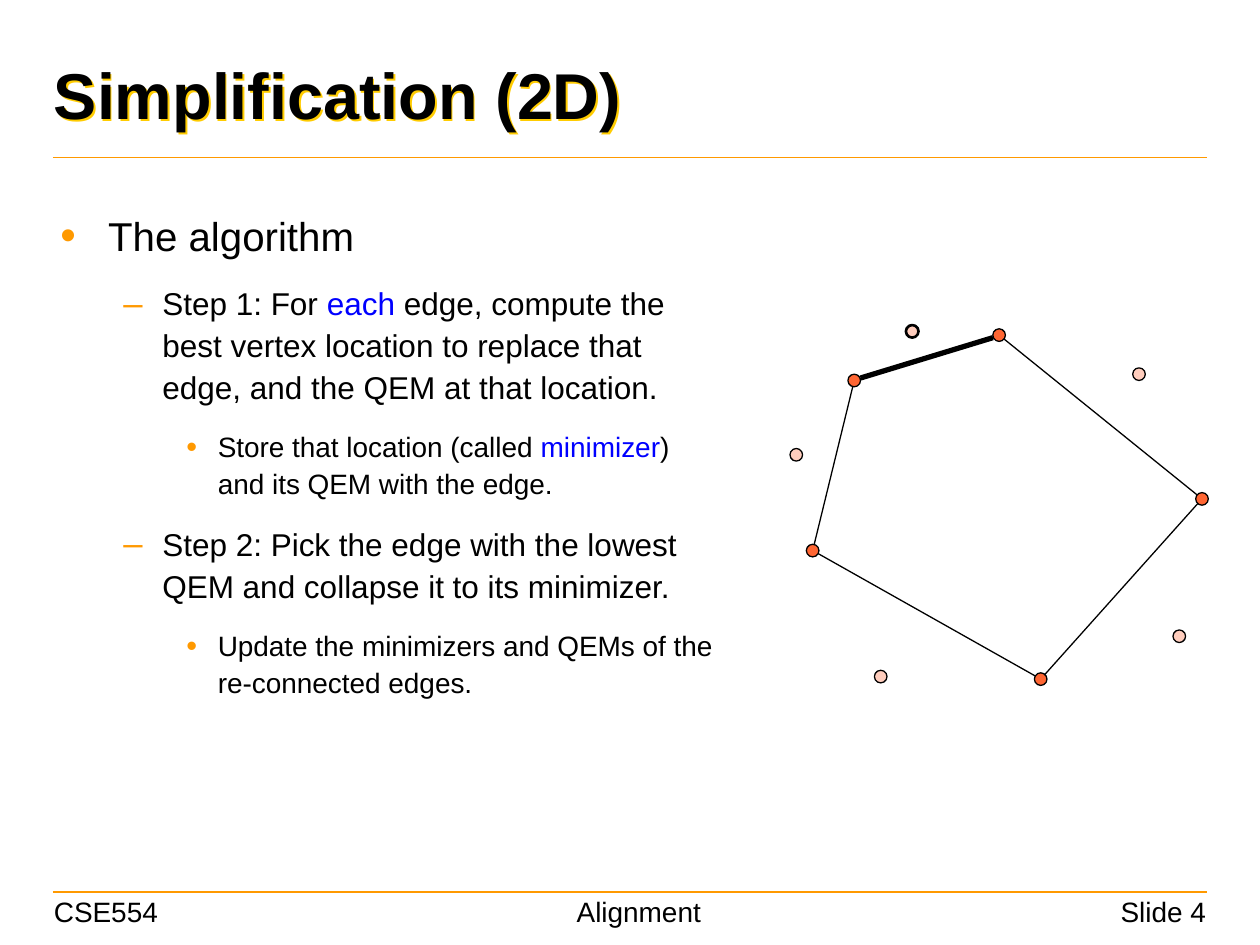
from lxml import etree
from pptx import Presentation
from pptx.dml.color import RGBColor
from pptx.enum.shapes import MSO_CONNECTOR, MSO_SHAPE
from pptx.enum.text import MSO_ANCHOR, PP_ALIGN
from pptx.oxml.ns import qn
from pptx.util import Inches, Pt

STRAIGHT = MSO_CONNECTOR.STRAIGHT
OVAL = MSO_SHAPE.OVAL
MIDDLE = MSO_ANCHOR.MIDDLE
LEFT, CENTER, RIGHT = PP_ALIGN.LEFT, PP_ALIGN.CENTER, PP_ALIGN.RIGHT

BLACK, ORANGE, BLUE = "000000", "FF9900", "0000FF"
GOLD, RED, PINK = "FFCC00", "FF6633", "FFCDBD"
DOT = 0.1

# Indent, hanging part, bullet and text size of each level
LEVELS = [(0.38, 0.38, "•", 23), (0.81, 0.31, "–", 18), (1.25, 0.25, "•", 16)]

# Level, then runs: every second run is a key word in blue
POINTS = [
    (0, ["The algorithm"]),
    (1, ["Step 1: For ", "each", " edge, compute the best vertex location "
         "to replace that edge, and the QEM at that location."]),
    (2, ["Store that location (called ", "minimizer",
         ") and its QEM with the edge."]),
    (1, ["Step 2: Pick the edge with the lowest QEM and collapse it "
         "to its minimizer."]),
    (2, ["Update the minimizers and QEMs of the re-connected edges."]),
]

# Dot centers, relative to the diagram's corner
CORNERS = [(0.51, 0.46), (1.66, 0.1), (3.27, 1.4), (1.99, 2.83), (0.18, 1.81)]
MINIMA = [(2.77, 0.41), (3.09, 2.49), (0.72, 2.81), (0.05, 1.05)]
BEST = (0.97, 0.07)


def color(code):
    return RGBColor.from_string(code)


def style(font, size, code=BLACK, bold=False):
    font.name = "Arial"
    font.size = Pt(size)
    font.bold = bold
    font.color.rgb = color(code)


def add_box(slide, box):
    frame = slide.shapes.add_textbox(*map(Inches, box)).text_frame
    frame.word_wrap = True
    return frame


def add_line(slide, start, end, code, width):
    line = slide.shapes.add_connector(STRAIGHT, *map(Inches, start + end))
    line.line.color.rgb = color(code)
    line.line.width = Pt(width)
    etree.SubElement(line._element.spPr, qn("a:effectLst"))


def add_dot(slide, x, y, fill, width=0.75):
    dot = slide.shapes.add_shape(
        OVAL, Inches(x - DOT / 2), Inches(y - DOT / 2), Inches(DOT), Inches(DOT))
    dot.shadow.inherit = False
    dot.fill.solid()
    dot.fill.fore_color.rgb = color(fill)
    dot.line.color.rgb = color(BLACK)
    dot.line.width = Pt(width)


def add_title(slide, box, text):
    shape = slide.shapes.add_textbox(*map(Inches, box))
    frame = shape.text_frame
    frame.word_wrap = True
    frame.vertical_anchor = MIDDLE
    frame.text = text
    style(frame.paragraphs[0].runs[0].font, 37, bold=True)
    # With no fill, the shadow of the box falls behind its letters
    effects = etree.SubElement(shape._element.spPr, qn("a:effectLst"))
    shadow = etree.SubElement(effects, qn("a:outerShdw"), dist=str(Inches(0.02)),
                              dir="2700000", algn="ctr", rotWithShape="0")
    etree.SubElement(shadow, qn("a:srgbClr"), val=GOLD)


def add_bullet(para, indent, hang, mark):
    props = para._p.get_or_add_pPr()
    props.set("marL", str(Inches(indent)))
    props.set("indent", str(-Inches(hang)))
    tint = etree.SubElement(props, qn("a:buClr"))
    etree.SubElement(tint, qn("a:srgbClr"), val=ORANGE)
    etree.SubElement(props, qn("a:buSzPct"), val="110000")
    etree.SubElement(props, qn("a:buFont"), typeface="Arial")
    etree.SubElement(props, qn("a:buChar"), char=mark)


def add_body(slide, box):
    frame = add_box(slide, box)
    for i, (level, texts) in enumerate(POINTS):
        para = frame.add_paragraph() if i else frame.paragraphs[0]
        indent, hang, mark, size = LEVELS[level]
        para.level = level
        add_bullet(para, indent, hang, mark)
        para.line_spacing = 1.1
        para.space_before = Pt(6 if i else 0)
        para.space_after = Pt(6)
        for j, text in enumerate(texts):
            run = para.add_run()
            run.text = text
            style(run.font, size, BLUE if j % 2 else BLACK)


def add_diagram(slide, left, top):
    """Polygon with its vertices, edge minimizers and the edge to collapse."""
    def place(points):
        return [(left + x, top + y) for x, y in points]

    corners = place(CORNERS)
    first, *rest = [(Inches(x), Inches(y)) for x, y in corners]
    path = slide.shapes.build_freeform(*first)
    path.add_line_segments(rest, close=True)
    outline = path.convert_to_shape()
    outline.shadow.inherit = False
    outline.fill.background()
    outline.line.color.rgb = color(BLACK)
    outline.line.width = Pt(0.75)

    for x, y in corners:
        add_dot(slide, x, y, RED)
    for x, y in place(MINIMA):
        add_dot(slide, x, y, PINK)
    add_dot(slide, *place([BEST])[0], PINK, 1.5)
    (x1, y1), (x2, y2) = corners[:2]
    add_line(slide, (x1 + 0.05, y1 - 0.02), (x2 - 0.05, y2 + 0.02), BLACK, 3)


def add_footer(slide, top):
    parts = [("CSE554", 0.33, 2.67, LEFT), ("Alignment", 3.53, 3.08, CENTER),
             ("Slide 4", 7, 2.67, RIGHT)]
    for text, left, width, align in parts:
        frame = add_box(slide, (left, top, width, 0.37))
        frame.text = text
        para = frame.paragraphs[0]
        para.alignment = align
        style(para.runs[0].font, 16)


def main():
    deck = Presentation()
    deck.slide_width, deck.slide_height = Inches(10), Inches(7.5)
    slide = deck.slides.add_slide(deck.slide_layouts[6])
    for y in (1.25, 7.08):
        add_line(slide, (0.42, y), (9.58, y), ORANGE, 1)
    add_footer(slide, 7.05)
    add_title(slide, (0.33, 0.08, 7.33, 1.33), "Simplification (2D)")
    add_body(slide, (0.38, 1.59, 5.41, 5.25))
    add_diagram(slide, 6.27, 2.56)
    deck.save("out.pptx")


if __name__ == "__main__":
    main()
